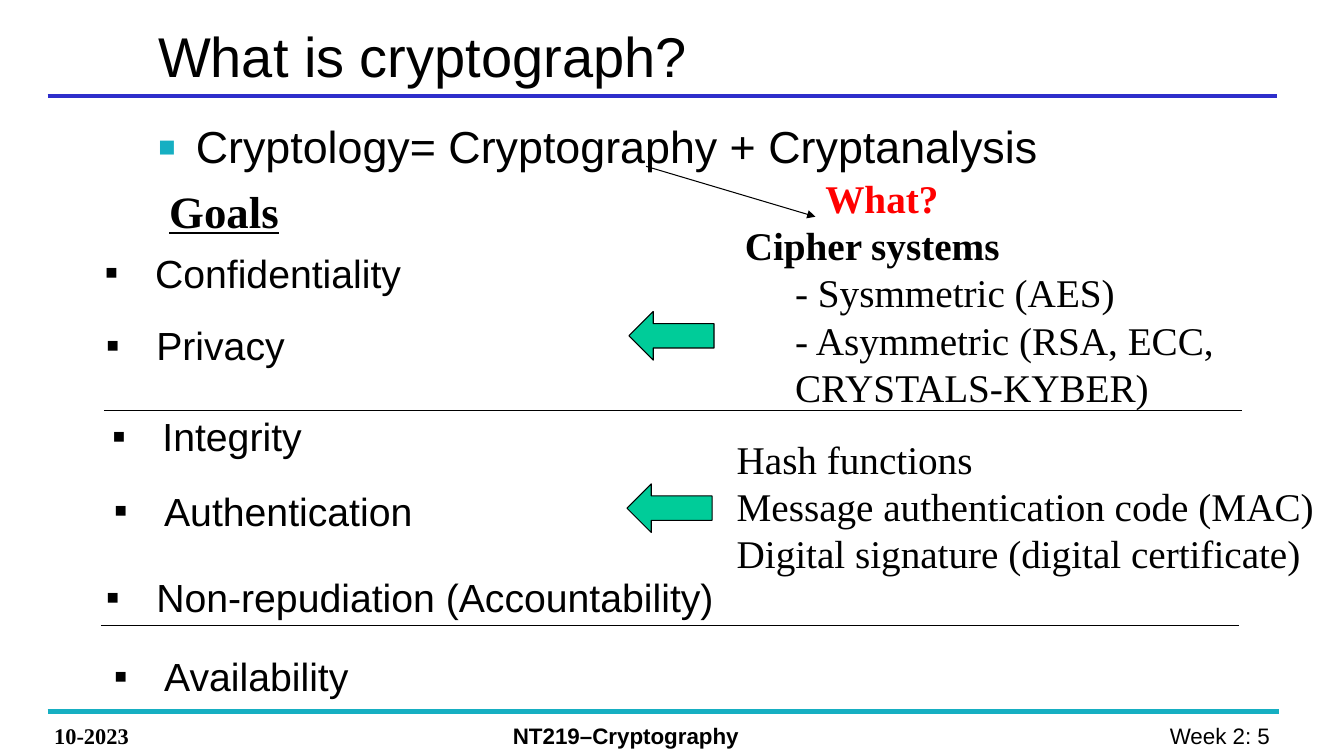
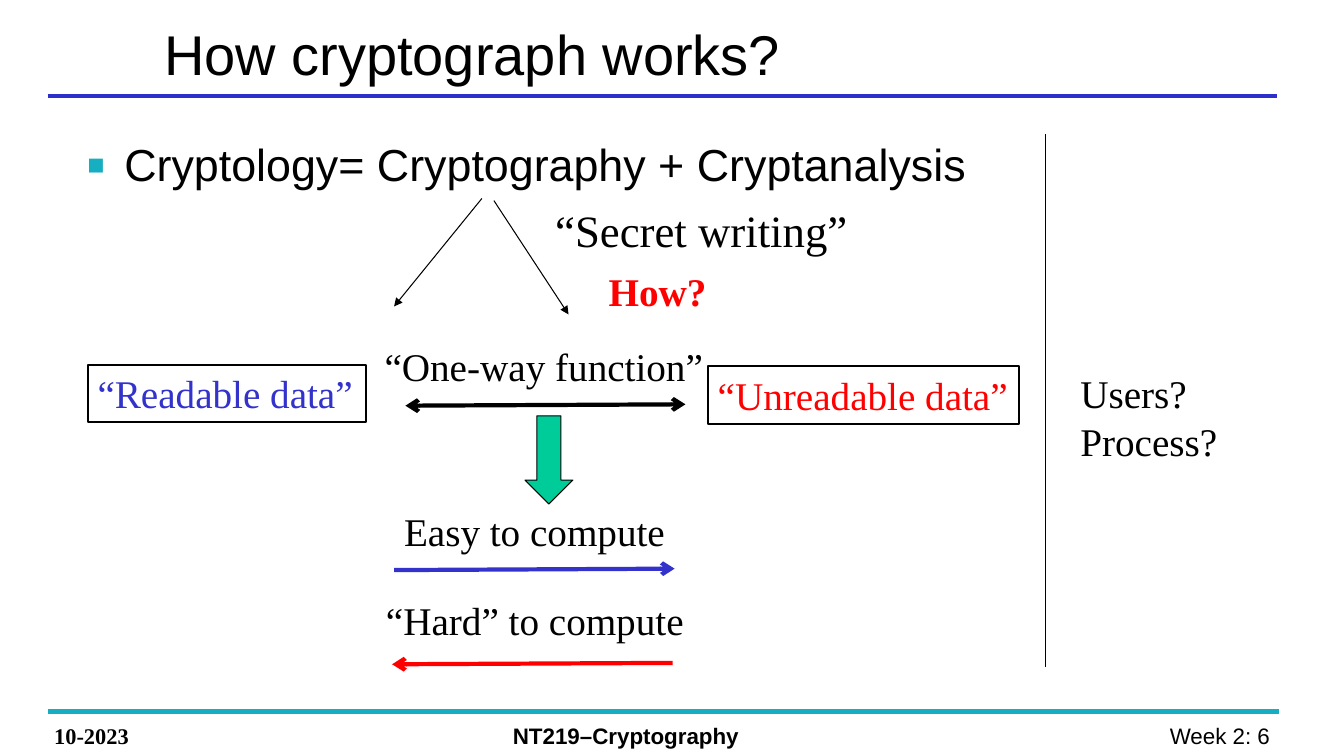
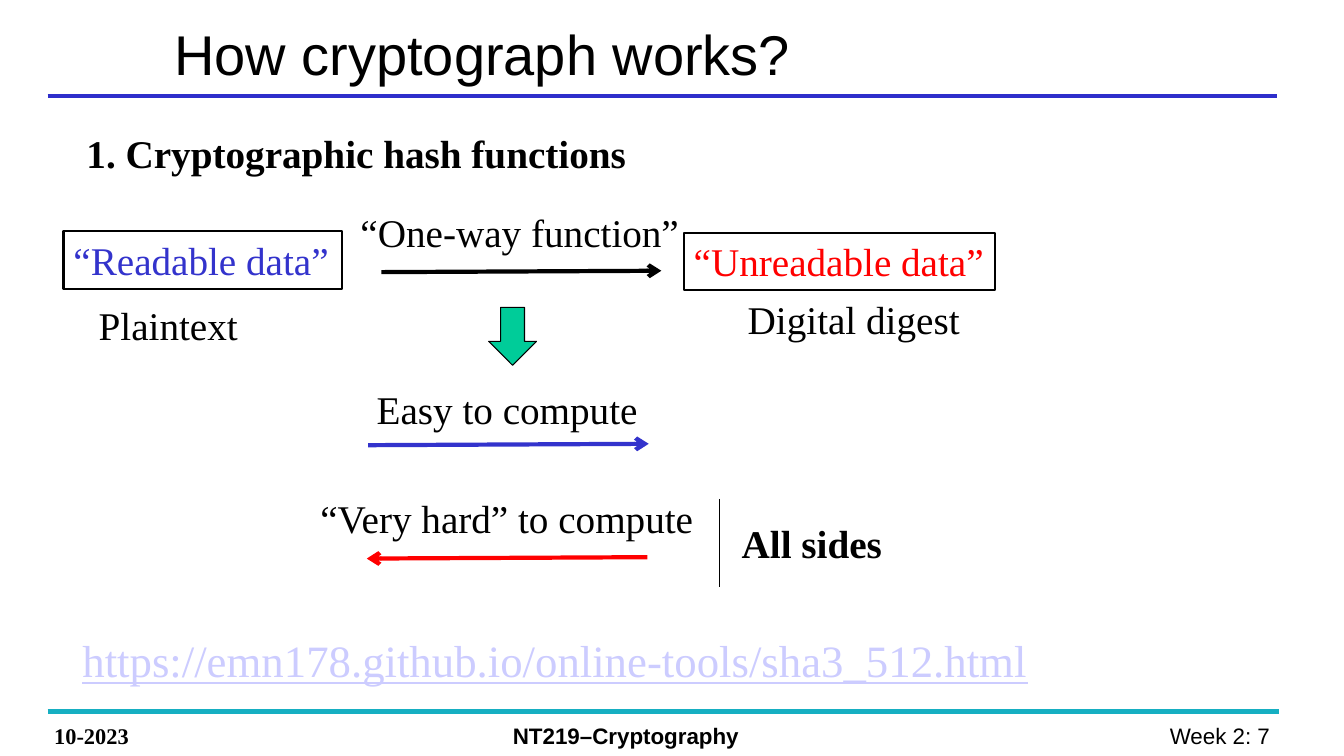
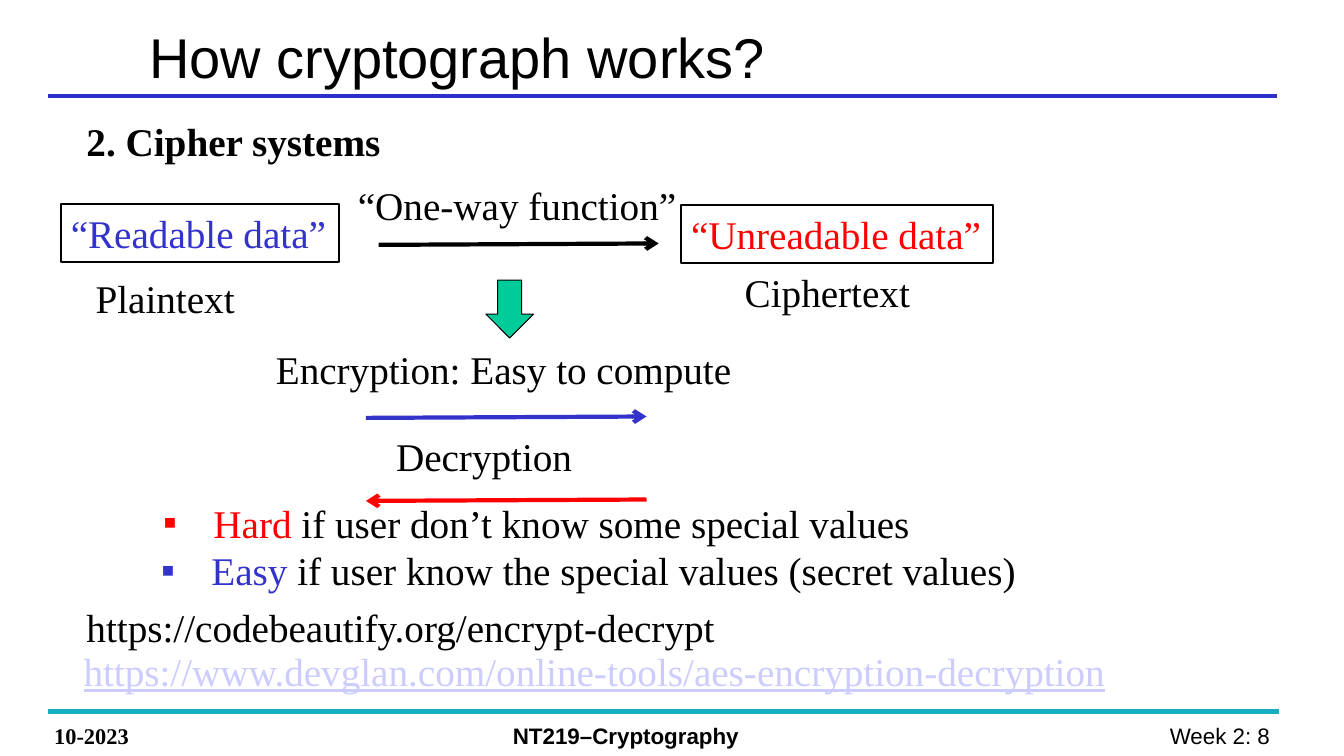
from lxml.etree import SubElement
from pptx import Presentation
from pptx.dml.color import RGBColor
from pptx.enum.shapes import MSO_CONNECTOR, MSO_SHAPE
from pptx.enum.text import MSO_ANCHOR, MSO_AUTO_SIZE, PP_ALIGN
from pptx.oxml.ns import qn
from pptx.util import Pt

BLACK = RGBColor(0x00, 0x00, 0x00)
RED = RGBColor(0xFF, 0x00, 0x00)
BLUE = RGBColor(0x33, 0x33, 0xCC)
RULE_BLUE = RGBColor(0x2E, 0x2E, 0xCB)
TEAL = RGBColor(0x16, 0xAF, 0xC2)
GREEN = RGBColor(0x00, 0xCC, 0x99)
LINK = RGBColor(0xCC, 0xCC, 0xFF)
SANS = "Arial"
SERIF = "Times New Roman"


def add_text(s, x, y, w, h, *paragraphs, size=28, font=SERIF, color=BLACK, bold=False,
             underline=False, wrap=False, grow=True, indent=0, bullet_color=None):
    """Add a text box; a paragraph is a string or a list of (text, colour) runs.

    An indent hangs a square bullet, enlarged when it has its own colour.
    """
    sp = s.shapes.add_textbox(Pt(x), Pt(y), Pt(w), Pt(h))
    tf = sp.text_frame
    tf.word_wrap = wrap
    tf.auto_size = MSO_AUTO_SIZE.SHAPE_TO_FIT_TEXT if grow else MSO_AUTO_SIZE.NONE
    for i, runs in enumerate(paragraphs):
        p = tf.add_paragraph() if i else tf.paragraphs[0]
        if indent:
            pPr = p._p.get_or_add_pPr()
            pPr.set("marL", str(Pt(indent)))
            pPr.set("indent", str(-Pt(indent)))
            if bullet_color:
                clr = SubElement(pPr, qn("a:buClr"))
                SubElement(clr, qn("a:srgbClr"), val=str(bullet_color))
                SubElement(pPr, qn("a:buSzPct"), val="125000")
            SubElement(pPr, qn("a:buFont"), typeface=SANS)
            SubElement(pPr, qn("a:buChar"), char="▪")
        for text, run_color in [(runs, color)] if isinstance(runs, str) else runs:
            r = p.add_run()
            r.text = text
            r.font.name = font
            r.font.size = Pt(size)
            r.font.bold = bold
            r.font.underline = underline
            r.font.color.rgb = run_color
    return sp


def add_line(s, x1, y1, x2, y2, color=BLACK, width=0.75, head=None, tail=None):
    """Add a straight line; head is the arrowhead at its start, tail at its end."""
    cx = s.shapes.add_connector(MSO_CONNECTOR.STRAIGHT, Pt(x1), Pt(y1), Pt(x2), Pt(y2))
    cx.line.color.rgb = color
    cx.line.width = Pt(width)
    spPr = cx.element.spPr
    ln = spPr.find(qn("a:ln"))
    for tag, kind in (("a:headEnd", head), ("a:tailEnd", tail)):
        if kind:
            SubElement(ln, qn(tag), type=kind)
    SubElement(spPr, qn("a:effectLst"))


prs = Presentation()
prs.slide_width, prs.slide_height = Pt(960), Pt(540)

# Title, rules and footer of every slide
titles = [
    ("What is cryptograph?", 105.8, 7.9),
    ("How cryptograph works?", 110.2, 7),
    ("How cryptograph works?", 117.4, 7),
    ("How cryptograph works?", 99.4, 8.6),
]
for number, (title, x, y) in enumerate(titles, start=5):
    s = prs.slides.add_slide(prs.slide_layouts[6])
    add_line(s, 34, 68.6, 912.2, 68.6, RULE_BLUE, 2.25)
    add_line(s, 34, 508.3, 913.7, 508.3, TEAL, 3)
    sp = add_text(s, 707, 512.6, 211.7, 26.6, f"Week 2: {number} ", size=16, font=SANS, wrap=True)
    sp.text_frame.paragraphs[0].alignment = PP_ALIGN.RIGHT
    add_text(s, 31.7, 512, 128, 26.6, "10-2023", size=16, bold=True, wrap=True)
    add_text(s, 359.3, 512, 347.8, 26.6, "NT219–Cryptography", size=16, font=SANS, bold=True, wrap=True)
    sp = add_text(s, x, y, 524.2, 62.6, title, size=40, font=SANS, wrap=True, grow=False)
    sp.text_frame.vertical_anchor = MSO_ANCHOR.MIDDLE

goals, works, hashes, ciphers = prs.slides

for s, x, y, h in ((goals, 105.8, 81.4, 391), (works, 54.7, 94.3, 139)):
    add_text(s, x, y, 645.8, h, "Cryptology= Cryptography + Cryptanalysis", size=32, font=SANS,
             wrap=True, grow=False, indent=27, bullet_color=TEAL)

# Block arrows
for s, x, y, w, h, rotation in (
    (goals, 462.2, 209.5, 34.8, 60.8, 90),
    (goals, 460.8, 332.6, 34.8, 60.8, 90),
    (works, 375, 297, 34.2, 63, 0),
    (hashes, 349, 219.5, 34.2, 41.4, 0),
    (ciphers, 347, 200, 34.2, 41.4, 0),
):
    sp = s.shapes.add_shape(MSO_SHAPE.DOWN_ARROW, Pt(x), Pt(y), Pt(w), Pt(h))
    sp.rotation = rotation
    sp.shadow.inherit = False
    sp.fill.solid()
    sp.fill.fore_color.rgb = GREEN
    sp.line.color.rgb = BLACK
    sp.line.width = Pt(0.75)

# One-way function diagram, placed from the corner of its left box
for s, x, y, head in (
    (works, 62.6, 260.6, "arrow"),
    (hashes, 45.4, 165.2, None),
    (ciphers, 43.5, 145.7, None),
):
    for text, dx, dy, w, color in (
        ("“Readable data”", 0, 0, 198.7, BLUE),
        ("“Unreadable data”", 443, 1, 222.5, RED),
    ):
        sp = add_text(s, x + dx, y + dy, w, 41.2, text, color=color)
        sp.line.color.rgb = BLACK
        sp.line.width = Pt(1.5)
    add_line(s, x + 227, y + 29.2, x + 427, y + 28.2, width=3, head=head, tail="arrow")
    add_text(s, x + 205, y - 19.8, 243.4, 41.2, "“One-way function”")

# Directions of computing: the easy one points right, the hard one left
for s, x, easy_y, hard_x, hard_y in (
    (works, 281.5, 407.2, 280.1, 474.5),
    (hashes, 263, 318, 262, 399),
    (ciphers, 261.4, 298.5, 261.4, 357.8),
):
    add_line(s, x, easy_y, x + 200.4, easy_y - 1, BLUE, 3, tail="arrow")
    add_line(s, hard_x, hard_y, hard_x + 200.4, hard_y - 1, RED, 3, head="arrow")

# Slide 5: goals and the means to reach them
add_line(goals, 461.5, 118.8, 582.5, 154.8, tail="triangle")
add_line(goals, 74.2, 293, 887, 293)
add_line(goals, 72, 447.1, 884.9, 447.1)
add_text(goals, 113.8, 127.4, 93.6, 46, "Goals", size=32, bold=True, underline=True)
for text, x, y, w in (
    ("Confidentiality", 67.7, 174.2, 229),
    ("Privacy", 68.6, 226.1, 144),
    ("Integrity", 73, 290.9, 152),
    ("Authentication", 74.2, 344.2, 230.4),
    ("Non-repudiation (Accountability)", 68.6, 406.1, 455.8),
    ("Availability", 74.2, 462.6, 184.3),
):
    add_text(goals, x, y, w, 41.2, text, font=SANS, indent=36)
add_text(goals, 582.5, 121, 96.5, 41.2, "What?", color=RED, bold=True)
sp = add_text(goals, 524.9, 154.8, 428.4, 143.3, "Cipher systems", "- Sysmmetric (AES)",
              "- Asymmetric (RSA, ECC, CRYSTALS-KYBER)", bold=True, wrap=True)
for p in sp.text_frame.paragraphs[1:]:
    p.level = 1
    p._p.get_or_add_pPr().set("marL", str(Pt(36)))
    p.runs[0].font.bold = False
add_text(goals, 519.1, 307.4, 455.8, 108.7, "Hash functions", "Message authentication code (MAC)",
         "Digital signature (digital certificate)", wrap=True)

# Slide 6: secret writing
add_line(works, 344.2, 141.8, 281.5, 218.9, tail="triangle")
add_line(works, 352.8, 143.3, 406.1, 224.6, tail="triangle")
add_line(works, 746.6, 95.8, 746.6, 476.6)
add_text(works, 389.5, 141.1, 224.6, 46, "“Secret writing”", size=32)
add_text(works, 427.7, 187.2, 85, 41.2, "How?", color=RED, bold=True)
add_text(works, 281.5, 358.6, 203, 41.2, "Easy to compute")
add_text(works, 268.6, 422.6, 228.2, 41.2, "“Hard” to compute")
add_text(works, 764.6, 260.6, 113, 75, "Users?", "Process?")

# Slide 7: hash functions
add_text(hashes, 54.7, 88.6, 544.3, 41.2, "1. Cryptographic hash functions", bold=True, wrap=True)
add_text(hashes, 63.4, 211.7, 115.2, 41.2, "Plaintext")
add_text(hashes, 527, 207.4, 174.2, 41.2, "Digital digest")
add_text(hashes, 262, 271.4, 203, 41.2, "Easy to compute")
add_text(hashes, 221.8, 349.2, 283.7, 41.2, "“Very hard” to compute")
add_line(hashes, 514, 356.4, 514, 419)
add_text(hashes, 522.7, 367.2, 116, 41.2, "All sides", bold=True)
add_text(hashes, 51.8, 448.6, 778.3, 46, "https://emn178.github.io/online-tools/sha3_512.html",
         size=32, color=LINK, underline=True, wrap=True)

# Slide 8: cipher systems
add_text(ciphers, 54.7, 79.9, 446.4, 41.2, "2. Cipher systems", bold=True, wrap=True)
add_text(ciphers, 61.2, 192.2, 115.2, 41.2, "Plaintext")
add_text(ciphers, 524.9, 187.9, 133.9, 41.2, "Ciphertext")
add_text(ciphers, 190, 243.4, 343.4, 41.2, "Encryption: Easy to compute")
add_text(ciphers, 275.8, 305.3, 141.8, 41.2, "Decryption")
add_text(ciphers, 109.4, 352.8, 560.2, 41.2,
         [("Hard", RED), (" if user don’t know some special values", BLACK)], indent=36)
add_text(ciphers, 108, 386.6, 637.9, 41.2,
         [("Easy", BLUE), (" if user know the special values (secret values)", BLACK)], indent=36)
add_text(ciphers, 54.7, 427.7, 525.6, 41.2, "https://codebeautify.org/encrypt-decrypt", wrap=True)
add_text(ciphers, 52.6, 458.6, 770.4, 41.2,
         "https://www.devglan.com/online-tools/aes-encryption-decryption",
         color=LINK, underline=True, wrap=True)

prs.save("out.pptx")
